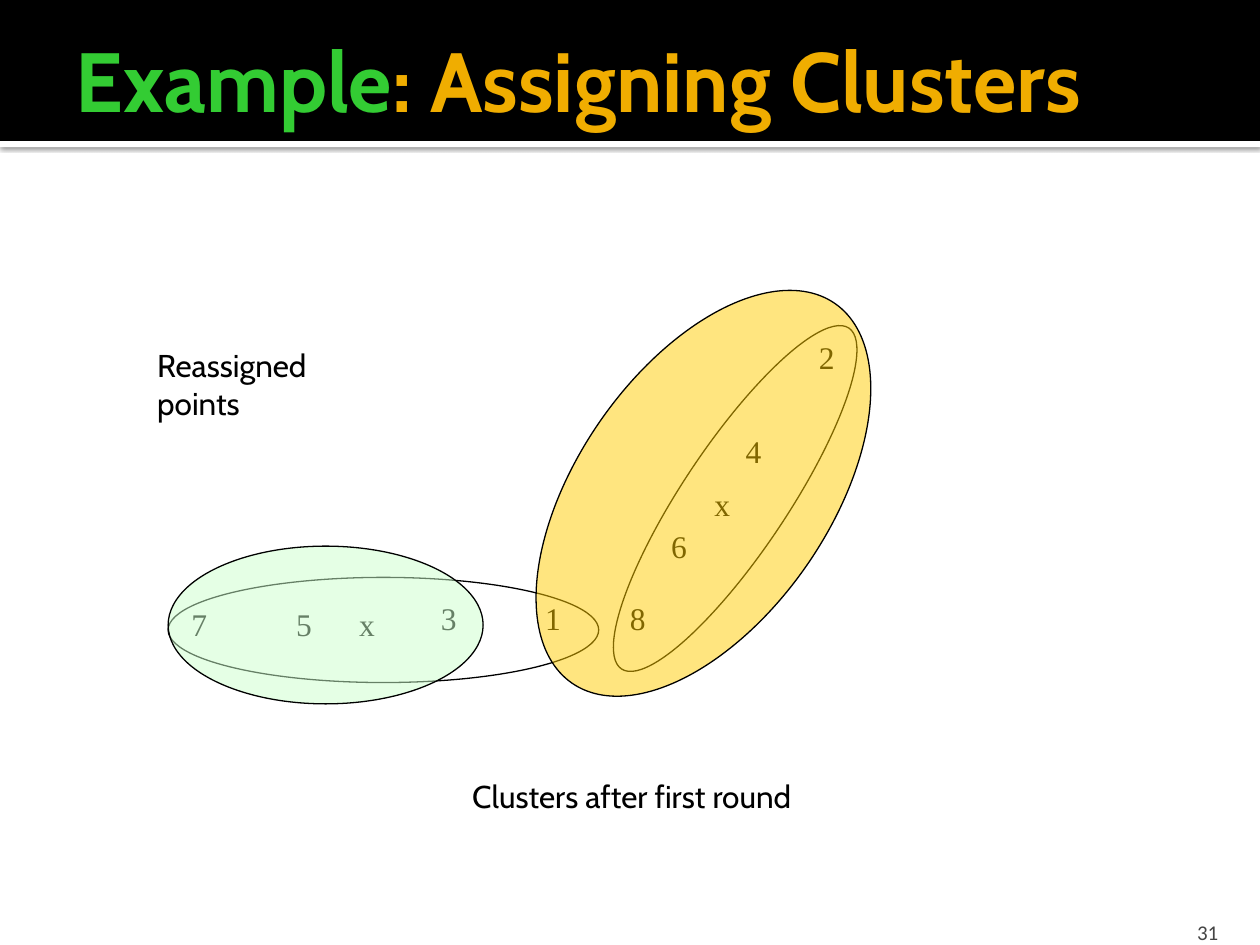
from lxml.etree import SubElement
from pptx import Presentation
from pptx.dml.color import RGBColor
from pptx.enum.shapes import MSO_SHAPE
from pptx.enum.text import MSO_ANCHOR, PP_ALIGN
from pptx.oxml.ns import qn
from pptx.util import Cm, Pt

COLORS = {
    "black": "000000", "white": "FFFFFF", "grey": "454545",
    "title_green": "33CC33", "title_gold": "F0AD00",
    "cluster_green": "CCFFCC", "cluster_gold": "FFCC00",
}
LABEL = {"name": "Cabin", "size": Pt(18)}
POINT = {"name": "Times New Roman", "size": Pt(18)}
TITLE = {"name": "Cabin", "size": Pt(48), "bold": True}
NUMBER = {"name": "Calibri", "size": Pt(12)}

# Left and top of each data point or centroid, in cm
POINTS = [
    ("1", 10.74, 11.96), ("2", 16.26, 6.68), ("3", 8.64, 11.96),
    ("4", 14.78, 8.59), ("5", 5.72, 12.07), ("6", 13.28, 10.49),
    ("7", 3.61, 12.07), ("8", 12.45, 11.96),
    ("x", 6.99, 12.07), ("x", 14.15, 9.65),
]


def color(name):
    return RGBColor.from_string(COLORS[name])


def place(shape, box):
    for name, value in zip(("left", "top", "width", "height"), box):
        setattr(shape, name, Cm(value))


def add_run(paragraph, text, font_format, color_name="black"):
    run = paragraph.add_run()
    run.text = text
    for name, value in font_format.items():
        setattr(run.font, name, value)
    run.font.color.rgb = color(color_name)


def add_label(slide, lines, box, font_format, color_name="black"):
    shape = slide.shapes.add_textbox(*map(Cm, box))
    frame = shape.text_frame
    frame.word_wrap = True
    for index, line in enumerate(lines):
        paragraph = frame.add_paragraph() if index else frame.paragraphs[0]
        add_run(paragraph, line, font_format, color_name)
    return frame


def add_bar(slide, box, color_name):
    bar = slide.shapes.add_shape(MSO_SHAPE.RECTANGLE, *map(Cm, box))
    bar.shadow.inherit = False
    bar.fill.solid()
    bar.fill.fore_color.rgb = color(color_name)
    bar.line.fill.background()
    return bar


def add_drop_shadow(shape):
    effects = shape._element.spPr.find(qn("a:effectLst"))
    shadow = SubElement(effects, qn("a:outerShdw"), blurRad=str(Pt(2.5)),
                        dist=str(Pt(0.8)), dir="5400000", rotWithShape="0")
    shade = SubElement(shadow, qn("a:srgbClr"), val=COLORS["black"])
    SubElement(shade, qn("a:alpha"), val="60000")


def add_cluster(slide, box, rotation=0, color_name=None):
    ellipse = slide.shapes.add_shape(MSO_SHAPE.OVAL, *map(Cm, box))
    ellipse.shadow.inherit = False
    ellipse.rotation = rotation
    ellipse.line.color.rgb = color("black")
    ellipse.line.width = Pt(0.75)
    if color_name is None:
        ellipse.fill.background()
        return
    ellipse.fill.solid()
    ellipse.fill.fore_color.rgb = color(color_name)
    fill_color = ellipse._element.spPr.find(qn("a:solidFill"))[0]
    SubElement(fill_color, qn("a:alpha"), val="50000")


def format_title(slide):
    title = slide.shapes.title
    place(title, (1.27, 0.43, 24.13, 2.34))
    frame = title.text_frame
    frame.vertical_anchor = MSO_ANCHOR.MIDDLE
    frame.margin_right = Cm(0.13)
    paragraph = frame.paragraphs[0]
    paragraph.alignment = PP_ALIGN.LEFT
    add_run(paragraph, "Example", TITLE, "title_green")
    add_run(paragraph, ": Assigning Clusters", TITLE, "title_gold")
    # Bring the title in front of the banner
    slide.shapes._spTree.append(title._element)


def main():
    presentation = Presentation()
    presentation.slide_width, presentation.slide_height = Cm(25.4), Cm(19.05)
    slide = presentation.slides.add_slide(presentation.slide_layouts[5])

    # Banner and title
    add_drop_shadow(add_bar(slide, (0, 2.84, 25.4, 0.13), "white"))
    add_bar(slide, (0, 0, 25.4, 2.84), "black")
    format_title(slide)

    # Slide number
    number = add_label(slide, ["31"], (22.78, 18.29, 2.03, 0.76), NUMBER, "grey")
    number.vertical_anchor = MSO_ANCHOR.BOTTOM
    number.margin_bottom = 0
    number.paragraphs[0].alignment = PP_ALIGN.RIGHT

    # Points and centroids
    for text, left, top in POINTS:
        add_label(slide, [text], (left, top, 0.94, 1.27), POINT)

    # Clusters after the first round
    add_cluster(slide, (3.39, 11.64, 8.68, 2.12))
    add_cluster(slide, (10.69, 8.99, 8.26, 2.12), 123.7)
    add_label(slide, ["Clusters after first round"], (9.27, 15.54, 9.63, 1.27), LABEL)

    # Clusters after reassignment
    add_cluster(slide, (3.39, 11.01, 6.35, 3.18), 0, "cluster_green")
    add_cluster(slide, (11.64, 5.29, 5.08, 9.31), 34.7, "cluster_gold")
    add_label(slide, ["Reassigned", "points"], (2.92, 6.86, 4.72, 2.29), LABEL)

    presentation.save("out.pptx")


if __name__ == "__main__":
    main()
